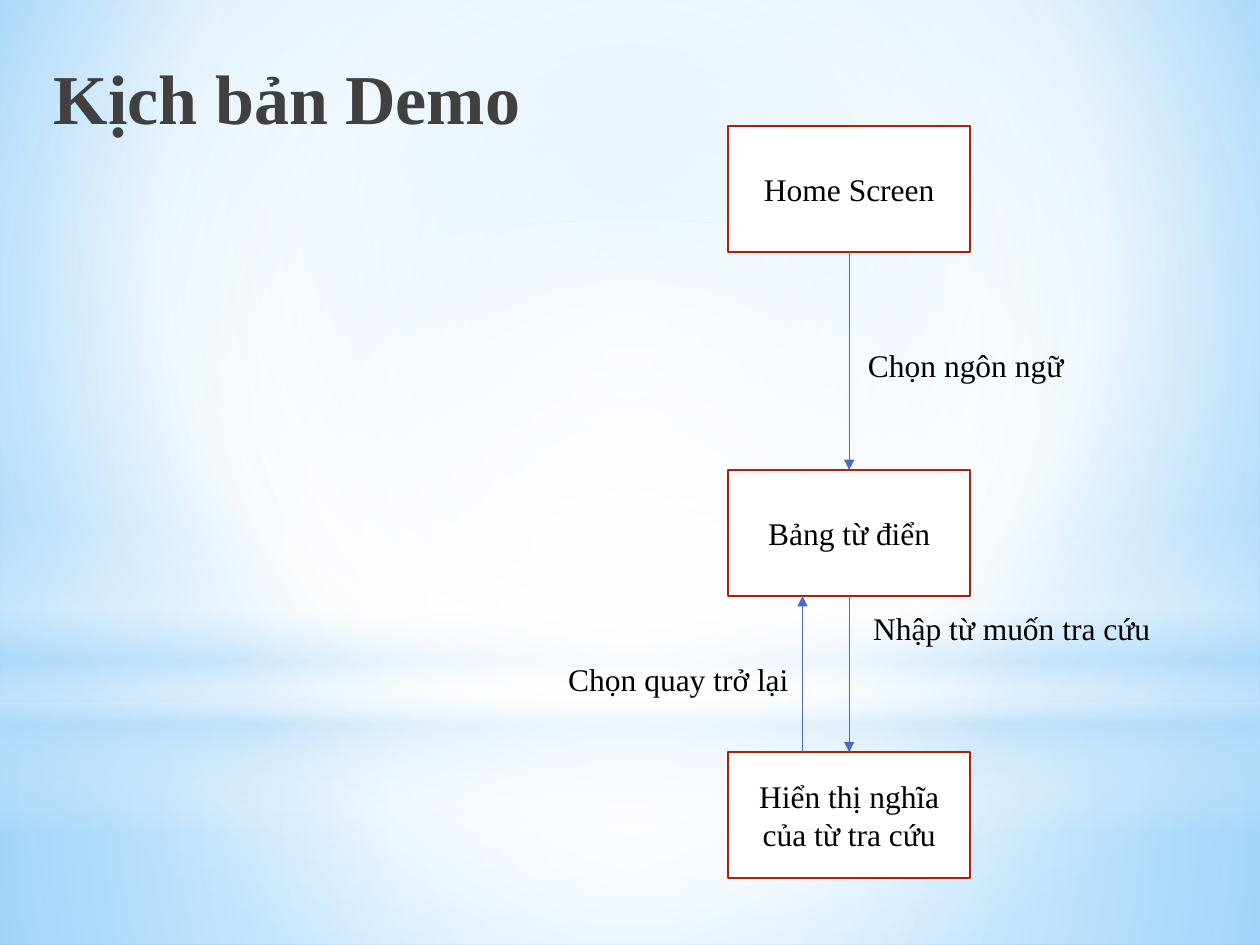
from dataclasses import dataclass

from lxml.etree import SubElement
from pptx import Presentation
from pptx.dml.color import RGBColor
from pptx.enum.shapes import MSO_CONNECTOR, MSO_SHAPE
from pptx.enum.text import MSO_ANCHOR, PP_ALIGN
from pptx.oxml.ns import qn
from pptx.util import Inches, Pt

BOX_LEFT, BOX_WIDTH, BOX_HEIGHT = 5.78, 1.92, 1
CENTER = BOX_LEFT + BOX_WIDTH / 2
RETURN_X = 6.37
HOME_TOP, DICTIONARY_TOP, MEANING_TOP = 1, 3.73, 5.97
LABEL_HEIGHT = 0.4
BODY_FONT = {"name": "Times New Roman", "size": Pt(18), "bold": False}
TITLE_FONT = {"name": "Times New Roman", "size": Pt(40), "bold": True}


@dataclass
class Gradient:
    stops: list[tuple]
    focus: tuple[int, ...] = (50, 50, 50, 50)
    angle: int | None = None


@dataclass
class Glow:
    kind: MSO_SHAPE
    left: float
    top: float
    width: float
    height: float
    gradient: Gradient


@dataclass
class Step:
    text: str
    top: float


@dataclass
class Arrow:
    x: float
    start: float
    end: float


@dataclass
class Label:
    text: str
    left: float
    top: float
    width: float


BACKGROUND = Gradient([(0, "9ED5FF", 100), (60, "FFFFFF", 100), (100, "5BB9FF", 100)], (20, 10, 20, 60))
GLOWS = [
    Glow(MSO_SHAPE.RECTANGLE, 0, 5.58, 10, 1.92,
         Gradient([(0, "FFFFFF", 91), (37, "FFFFFF", 76), (100, "B4DCFA", 79)])),
    Glow(MSO_SHAPE.RECTANGLE, 0, 0, 10, 5.58,
         Gradient([(0, "FFFFFF", 89), (48, "FFFFFF", 62), (100, "B4DCFA", 79)])),
    Glow(MSO_SHAPE.RECTANGLE, 0, 4.12, 10, 2.5,
         Gradient([(0, "FFFFFF", 0), (29, "FFFFFF", 30), (45, "B4DCFA", 40),
                   (55, "FFFFFF", 26), (65, "B4DCFA", 60), (100, "FFFFFF", 0)], angle=90)),
    Glow(MSO_SHAPE.OVAL, 0, 1.75, 10, 5.58,
         Gradient([(0, "FFFFFF", 100), (56, "FFFFFF", 0)])),
]
STEPS = [
    Step("Home Screen", HOME_TOP),
    Step("Bảng từ điển", DICTIONARY_TOP),
    Step("Hiển thị nghĩa của từ tra cứu", MEANING_TOP),
]
ARROWS = [
    Arrow(CENTER, HOME_TOP + BOX_HEIGHT, DICTIONARY_TOP),
    Arrow(CENTER, DICTIONARY_TOP + BOX_HEIGHT, MEANING_TOP),
    Arrow(RETURN_X, MEANING_TOP, DICTIONARY_TOP + BOX_HEIGHT),
]
LABELS = [
    Label("Chọn ngôn ngữ", 6.78, 2.7, 1.77),
    Label("Nhập từ muốn tra cứu", 6.82, 4.78, 2.42),
    Label("Chọn quay trở lại", 4.4, 5.19, 1.97),
]


def color(value: str) -> RGBColor:
    return RGBColor.from_string(value)


def apply_format(target, values: dict) -> None:
    for name, value in values.items():
        setattr(target, name, value)


def set_gradient(fill, owner, gradient: Gradient) -> None:
    fill.background()
    empty_fill = owner.find(".//" + qn("a:noFill"))
    parent = empty_fill.getparent()
    element = SubElement(parent, qn("a:gradFill"), rotWithShape="1")
    parent.replace(empty_fill, element)
    stop_list = SubElement(element, qn("a:gsLst"))
    for position, value, opacity in gradient.stops:
        stop = SubElement(stop_list, qn("a:gs"), pos=str(position * 1000))
        stop_color = SubElement(stop, qn("a:srgbClr"), val=value)
        if opacity < 100:
            SubElement(stop_color, qn("a:alpha"), val=str(opacity * 1000))
    if gradient.angle is not None:
        SubElement(element, qn("a:lin"), ang=str(gradient.angle * 60000), scaled="0")
    else:
        circle = SubElement(element, qn("a:path"), path="circle")
        edges = {side: str(value * 1000) for side, value in zip("ltrb", gradient.focus)}
        SubElement(circle, qn("a:fillToRect"), **edges)


def write_text(shape, text: str, font: dict, text_color: str, frame: dict, alignment: PP_ALIGN) -> None:
    apply_format(shape.text_frame, frame)
    paragraph = shape.text_frame.paragraphs[0]
    paragraph.alignment = alignment
    run = paragraph.add_run()
    run.text = text
    apply_format(run.font, font)
    run.font.color.rgb = color(text_color)


def draw_glow(slide, glow: Glow) -> None:
    shape = slide.shapes.add_shape(
        glow.kind, Inches(glow.left), Inches(glow.top), Inches(glow.width), Inches(glow.height))
    shape.shadow.inherit = False
    set_gradient(shape.fill, shape.element, glow.gradient)
    shape.line.fill.background()


def draw_title(slide, text: str) -> None:
    shape = slide.shapes.add_textbox(Inches(0.33), Inches(0.39), Inches(4.08), Inches(0.76))
    frame = {"word_wrap": True, "vertical_anchor": MSO_ANCHOR.BOTTOM}
    write_text(shape, text, TITLE_FONT, "404040", frame, PP_ALIGN.LEFT)


def draw_step(slide, step: Step) -> None:
    shape = slide.shapes.add_shape(
        MSO_SHAPE.RECTANGLE, Inches(BOX_LEFT), Inches(step.top), Inches(BOX_WIDTH), Inches(BOX_HEIGHT))
    shape.shadow.inherit = False
    shape.fill.solid()
    shape.fill.fore_color.rgb = color("FFFFFF")
    shape.line.color.rgb = color("B01F07")
    shape.line.width = Pt(1.25)
    frame = {"word_wrap": True, "vertical_anchor": MSO_ANCHOR.MIDDLE}
    write_text(shape, step.text, BODY_FONT, "000000", frame, PP_ALIGN.CENTER)


def draw_arrow(slide, arrow: Arrow) -> None:
    connector = slide.shapes.add_connector(
        MSO_CONNECTOR.STRAIGHT, Inches(arrow.x), Inches(arrow.start), Inches(arrow.x), Inches(arrow.end))
    connector.line.color.rgb = color("4E67C8")
    connector.line.width = Pt(0.75)
    SubElement(connector.line._get_or_add_ln(), qn("a:tailEnd"), type="triangle")
    SubElement(connector.element.spPr, qn("a:effectLst"))


def draw_label(slide, label: Label) -> None:
    shape = slide.shapes.add_textbox(
        Inches(label.left), Inches(label.top), Inches(label.width), Inches(LABEL_HEIGHT))
    frame = {"word_wrap": False, "vertical_anchor": MSO_ANCHOR.MIDDLE}
    write_text(shape, label.text, BODY_FONT, "000000", frame, PP_ALIGN.CENTER)


def main() -> None:
    presentation = Presentation()
    presentation.slide_width = Inches(10)
    presentation.slide_height = Inches(7.5)
    slide = presentation.slides.add_slide(presentation.slide_layouts[6])
    set_gradient(slide.background.fill, slide.element, BACKGROUND)
    for glow in GLOWS:
        draw_glow(slide, glow)
    draw_title(slide, "Kịch bản Demo")
    for step in STEPS:
        draw_step(slide, step)
    for arrow in ARROWS:
        draw_arrow(slide, arrow)
    for label in LABELS:
        draw_label(slide, label)
    presentation.save("out.pptx")


if __name__ == "__main__":
    main()
